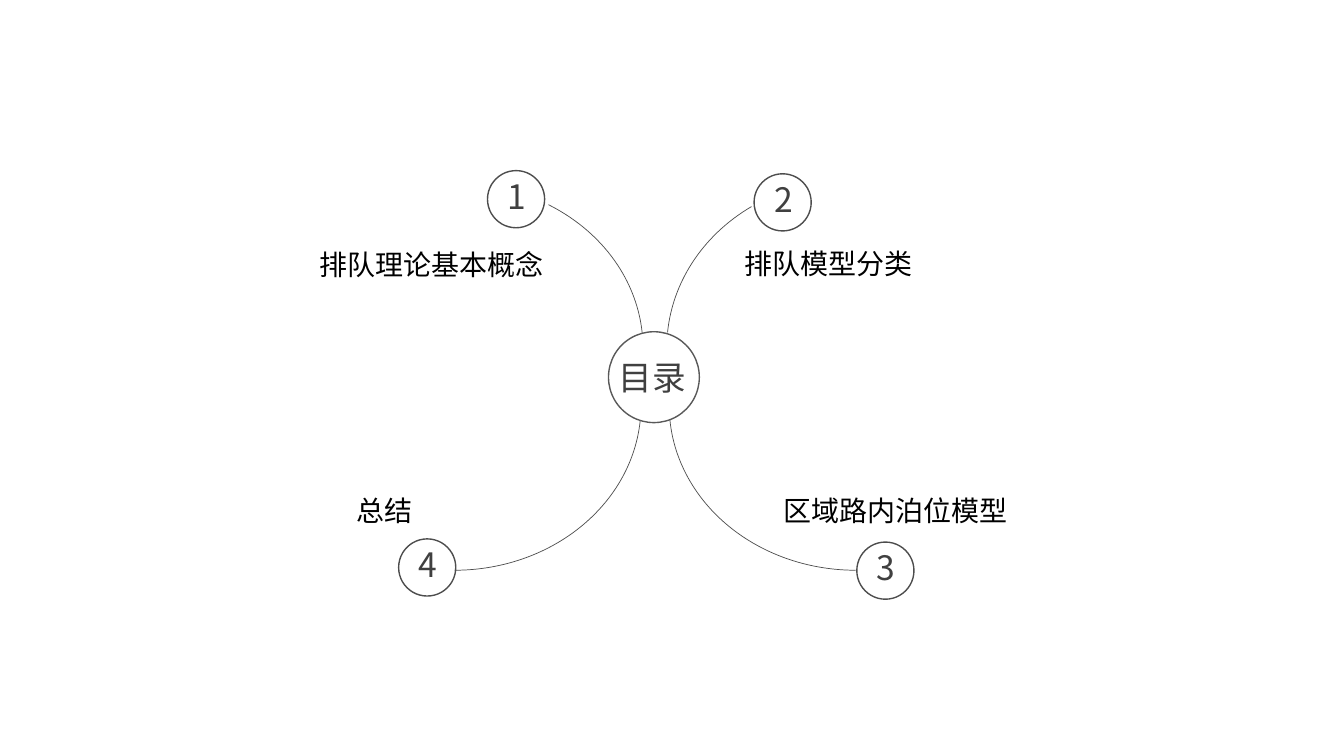
from dataclasses import dataclass

from lxml.etree import SubElement
from pptx import Presentation
from pptx.dml.color import RGBColor as Color
from pptx.enum.shapes import MSO_SHAPE as Preset
from pptx.enum.text import MSO_AUTO_SIZE as AutoSize, PP_ALIGN as Align
from pptx.oxml.ns import qn
from pptx.util import Cm, Pt


@dataclass(frozen=True)
class Theme:
    font: str = "Noto Sans CJK SC"
    title_color: str = "404040"
    label_color: str = "000000"
    branch_color: str = "4D4D4D"
    hub_color: str = "595959"
    title_size: int = 24
    label_size: int = 20
    branch_width: float = 0.5
    ring_width: float = 1


class MindMap:
    """Draws the elements of the mind map on one slide; lengths are in cm."""

    def __init__(self, slide, theme):
        self.slide = slide
        self.theme = theme

    def outline(self, shape, color, width):
        shape.shadow.inherit = False
        shape.fill.background()
        shape.line.color.rgb = Color.from_string(color)
        shape.line.width = Pt(width)

    def text(self, shapes, words, box, size, color, align=Align.LEFT):
        shape = shapes.add_textbox(*map(Cm, box))
        frame = shape.text_frame
        frame.word_wrap = True
        frame.auto_size = AutoSize.SHAPE_TO_FIT_TEXT
        paragraph = frame.paragraphs[0]
        paragraph.text = words
        paragraph.alignment = align
        font = paragraph.font
        font.size = Pt(size)
        font.color.rgb = Color.from_string(color)
        font.name = self.theme.font
        # East Asian glyphs need their own typeface entry
        properties = paragraph._p.pPr.find(qn("a:defRPr"))
        SubElement(properties, qn("a:ea"), typeface=self.theme.font)

    def title(self, shapes, words, box):
        self.text(shapes, words, box, self.theme.title_size,
                  self.theme.title_color, Align.CENTER)

    def label(self, words, left, top, width):
        self.text(self.slide.shapes, words, (left, top, width, 1.12),
                  self.theme.label_size, self.theme.label_color)

    def ring(self, shapes, left, top, diameter, color):
        circle = shapes.add_shape(
            Preset.OVAL, *map(Cm, (left, top, diameter, diameter)))
        self.outline(circle, color, self.theme.ring_width)

    def badge(self, number, left, top):
        group = self.slide.shapes.add_group_shape()
        self.ring(group.shapes, left, top, 1.44, self.theme.branch_color)
        self.title(group.shapes, str(number), (left + 0.24, top, 1, 1.27))

    def branch(self, left, top, height, start, end):
        """Draw an arc clockwise between two angles in degrees."""
        arc = self.slide.shapes.add_shape(
            Preset.ARC, *map(Cm, (left, top, 9.4, height)))
        # Angles are stored in 60000ths, adjustments in 100000ths
        arc.adjustments[0] = start * 0.6
        arc.adjustments[1] = end * 0.6
        self.outline(arc, self.theme.branch_color, self.theme.branch_width)


# Each topic: label, label box (left, top, width), badge corner,
# branch (left, top, height, start angle, end angle)
TOPICS = [
    ("排队理论基本概念", (7.8, 6.1, 6.63), (12.29, 4.3),
     (6.81, 4.62, 8.3, 302.7, 355.3)),
    ("排队模型分类", (18.52, 6.08, 6.32), (19.01, 4.38),
     (16.81, 4.52, 8.48, 184.7, 234.2)),
    ("区域路内泊位模型", (19.5, 12.31, 9.4), (21.6, 13.66),
     (16.87, 6.07, 8.3, 90, 175.5)),
    ("总结", (8.74, 12.31, 4.09), (10.05, 13.58),
     (6.76, 6.07, 8.3, 4.5, 90)),
]


def main():
    presentation = Presentation()
    presentation.slide_width = Cm(33.88)
    presentation.slide_height = Cm(19.05)
    slide = presentation.slides.add_slide(presentation.slide_layouts[6])
    mind_map = MindMap(slide, Theme())

    # Numbered topics around the hub
    for number, (words, label_box, corner, arc) in enumerate(TOPICS, 1):
        mind_map.branch(*arc)
        mind_map.badge(number, *corner)
        mind_map.label(words, *label_box)

    # Hub
    mind_map.title(slide.shapes, "目录", (15.26, 8.86, 2.36, 1.27))
    mind_map.ring(slide.shapes, 15.34, 8.36, 2.29, mind_map.theme.hub_color)

    presentation.save("out.pptx")


if __name__ == "__main__":
    main()
